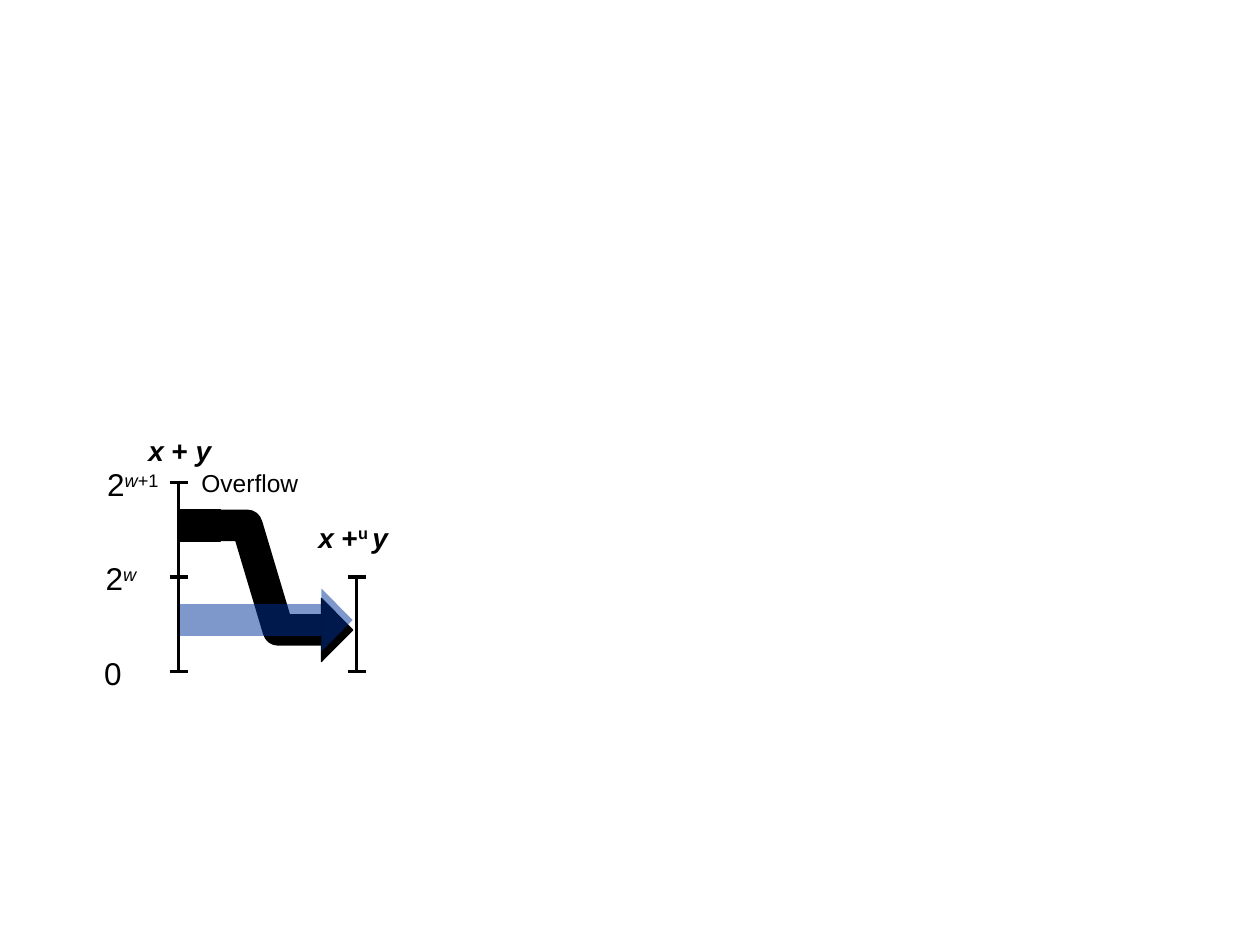
from lxml import etree
from pptx import Presentation
from pptx.dml.color import RGBColor
from pptx.enum.shapes import MSO_CONNECTOR, MSO_SHAPE
from pptx.enum.text import MSO_AUTO_SIZE
from pptx.oxml.ns import qn
from pptx.util import Cm, Pt

BLACK = RGBColor(0x00, 0x00, 0x00)
BLUE = RGBColor(0x00, 0x33, 0x99)
STRAIGHT = MSO_CONNECTOR.STRAIGHT
RECTANGLE = MSO_SHAPE.RECTANGLE
FIT_SHAPE = MSO_AUTO_SIZE.SHAPE_TO_FIT_TEXT

ITALIC = {"italic": True}
BOLD = {"bold": True}
BOLD_ITALIC = {"bold": True, "italic": True}

ZERO_Y, STEP = 13.54, 1.905
SUM_X, RESULT_X = 3.6, 7.19
TICK_HALF = 0.18
HEAD_X, HEAD_TIP_X, HEAD_HALF = 6.48, 7.11, 0.635
SHAFT_HEIGHT = 0.64
WRAPPED_Y, DIRECT_Y = 12.7, 12.5


class Diagram:
    """Draws on one slide; all lengths are in centimetres."""

    font_name = "Arial"
    axis_width = 2

    def __init__(self, slide):
        self.slide = slide
        self.shapes = slide.shapes

    def add_group(self):
        return self.slide.shapes.add_group_shape().shapes

    def paint(self, shape, color, alpha=None):
        """Fill a shape, with a thin outline unless it is see-through."""
        shape.shadow.inherit = False
        shape.fill.solid()
        shape.fill.fore_color.rgb = color
        if alpha is None:
            shape.line.color.rgb = color
            shape.line.width = Pt(0.75)
            return
        shape.line.fill.background()
        color_element = shape._element.spPr.find(qn("a:solidFill"))[0]
        etree.SubElement(color_element, qn("a:alpha"), val=str(alpha * 1000))

    def outline(self, shapes, points, close):
        corners = [(Cm(x), Cm(y)) for x, y in points]
        builder = shapes.build_freeform(*corners[0])
        builder.add_line_segments(corners[1:], close=close)
        return builder.convert_to_shape()

    def arrowhead(self, shapes, y, color, alpha=None):
        points = [(HEAD_X, y - HEAD_HALF), (HEAD_X, y + HEAD_HALF), (HEAD_TIP_X, y)]
        self.paint(self.outline(shapes, points, True), color, alpha)

    def shaft(self, shapes, y, width, color, alpha=None):
        bar = shapes.add_shape(RECTANGLE, Cm(SUM_X), Cm(y - SHAFT_HEIGHT / 2),
                               Cm(width), Cm(SHAFT_HEIGHT))
        self.paint(bar, color, alpha)

    def band(self, points, width):
        """Draw a thick open path with round corners."""
        path_shape = self.outline(self.shapes, points, False)
        path_shape.shadow.inherit = False
        path_shape.fill.background()
        path_shape.line.color.rgb = BLACK
        path_shape.line.width = Pt(width)
        etree.SubElement(path_shape._element.spPr.find(qn("a:ln")), qn("a:round"))

    def line(self, shapes, x1, y1, x2, y2):
        connector = shapes.add_connector(STRAIGHT, Cm(x1), Cm(y1), Cm(x2), Cm(y2))
        connector.line.color.rgb = BLACK
        connector.line.width = Pt(self.axis_width)
        etree.SubElement(connector._element.spPr, qn("a:effectLst"))

    def axis(self, x, steps):
        shapes = self.add_group()
        self.line(shapes, x, ZERO_Y - steps * STEP, x, ZERO_Y)
        for step in range(steps + 1):
            y = ZERO_Y - step * STEP
            self.line(shapes, x - TICK_HALF, y, x + TICK_HALF, y)

    def label(self, left, top, width, height, size, spans):
        """Add one line of text from (text, font format, is superscript) spans."""
        box = self.shapes.add_textbox(Cm(left), Cm(top), Cm(width), Cm(height))
        box.text_frame.word_wrap = False
        box.text_frame.auto_size = FIT_SHAPE
        para = box.text_frame.paragraphs[0]
        for text, style, superscript in spans:
            span = para.add_run()
            span.text = text
            span.font.color.rgb = BLACK
            values = {"name": self.font_name, "size": Pt(size), **style}
            for name, value in values.items():
                setattr(span.font, name, value)
            if superscript:
                span._r.get_or_add_rPr().set("baseline", "30000")


def main():
    deck = Presentation()
    deck.slide_width, deck.slide_height = Cm(25.4), Cm(19.05)
    diagram = Diagram(deck.slides.add_slide(deck.slide_layouts[6]))

    overflow_y = 10.59
    diagram.shaft(diagram.shapes, overflow_y, 0.84, BLACK)
    diagram.band([(3.91, overflow_y), (4.98, overflow_y),
                  (5.61, WRAPPED_Y), (6.55, WRAPPED_Y)], 18)
    diagram.arrowhead(diagram.shapes, WRAPPED_Y, BLACK)
    diagram.axis(RESULT_X, 1)

    labels = [
        (1.85, 13.06, 0.86, 1.02, 18, [("0", {}, False)]),
        (1.88, 11.15, 1.12, 1.02, 18, [("2", {}, False), ("w", ITALIC, True)]),
        (1.91, 9.25, 1.55, 1.02, 18,
         [("2", {}, False), ("w", ITALIC, True), ("+1", {}, True)]),
        (2.74, 8.61, 1.78, 0.91, 16,
         [("x", BOLD_ITALIC, False), (" + ", BOLD, False), ("y", BOLD_ITALIC, False)]),
        (6.17, 10.36, 1.98, 0.91, 16,
         [("x", BOLD_ITALIC, False), (" +", BOLD, False), ("u ", BOLD, True),
          ("y", BOLD_ITALIC, False)]),
        (3.81, 9.32, 2.46, 0.84, 14, [("Overflow", {}, False)]),
    ]
    for label in labels:
        diagram.label(*label)

    direct_arrow = diagram.add_group()
    diagram.arrowhead(direct_arrow, DIRECT_Y, BLUE, 50)
    diagram.shaft(direct_arrow, DIRECT_Y, HEAD_X - SUM_X, BLUE, 50)
    diagram.axis(SUM_X, 2)

    deck.save("out.pptx")


if __name__ == "__main__":
    main()
